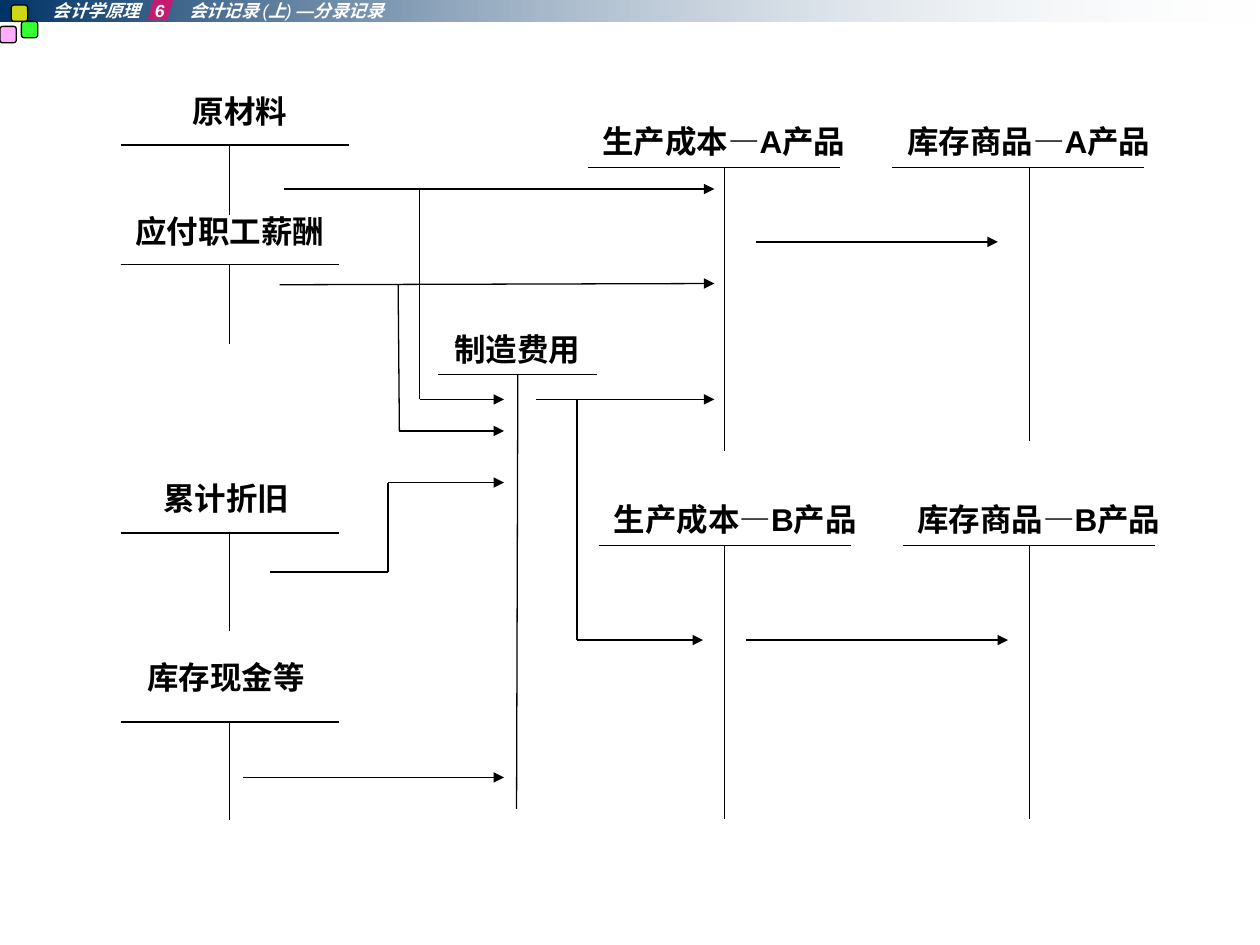
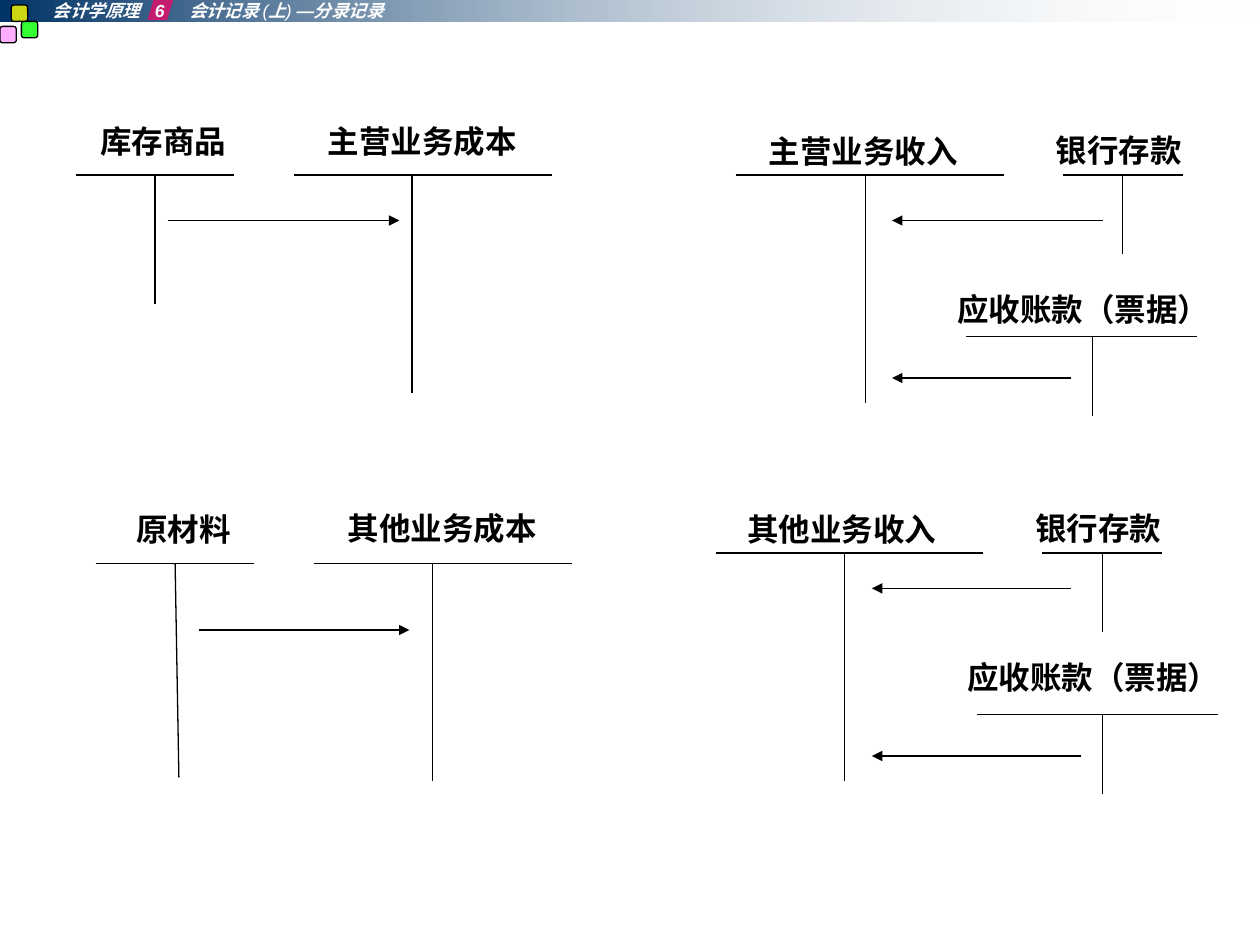
"""Build two slides of T-account flow diagrams for an accounting course."""

import itertools

import pptx
import pptx.dml.color
import pptx.enum.shapes
import pptx.enum.text
import pptx.oxml
import pptx.oxml.ns
import pptx.util
from lxml import etree

Inches = pptx.util.Inches
Pt = pptx.util.Pt
RGBColor = pptx.dml.color.RGBColor
Preset = pptx.enum.shapes.MSO_SHAPE
Align = pptx.enum.text.PP_ALIGN
qn = pptx.oxml.ns.qn

BLACK = RGBColor(0x00, 0x00, 0x00)
WHITE = RGBColor(0xFF, 0xFF, 0xFF)
NAVY = RGBColor(0x00, 0x33, 0x66)
PALE = RGBColor(0xE7, 0xEC, 0xF1)
PINK = RGBColor(0xFF, 0x99, 0xFF)
GREEN = RGBColor(0x00, 0xFF, 0x00)
YELLOW = RGBColor(0xFF, 0xFF, 0x00)
CRIMSON = RGBColor(0xFF, 0x00, 0x66)

OPACITY = {PALE: 0, PINK: 80, GREEN: 80, YELLOW: 80, CRIMSON: 70}
LINE_WIDTH = Pt(0.75)

HEADER_FONT = {"name": "Arial", "size": Pt(10), "italic": True}
HEADER_RUNS = [
    ("会计学原理\t6\t会计记录 ", True),
    ("(", False),
    ("上", True),
    (") ", False),
    ("—分录记录", True),
]
HEADER_TABS = [0.81, 1.08]
HEADER_MARKS = [
    (Preset.ROUNDED_RECTANGLE, (0, 0.21, 0.13, 0.13), PINK, 0.167),
    (Preset.ROUNDED_RECTANGLE, (0.17, 0.17, 0.13, 0.13), GREEN, 0.167),
    (Preset.ROUNDED_RECTANGLE, (0.09, 0.04, 0.13, 0.13), YELLOW, 0.167),
    (Preset.PARALLELOGRAM, (1.17, -0.02, 0.21, 0.18), CRIMSON, 0.299),
]

LABEL_FONT = {"size": Pt(18), "bold": True}
LABEL_HEIGHT = 0.4
LEFT_ALIGNED = {"银行存款", "应收账款（票据）"}

# Each account: name, label (left, top, width), bar (left, right, y), stem (head x, foot x, foot y).
PRODUCTION_ACCOUNTS = [
    ("原材料", (0.96, 0.68, 1.89), (0.96, 2.77, 1.15), (1.82, 1.82, 1.71)),
    ("应付职工薪酬", (0.88, 1.63, 1.89), (0.96, 2.69, 2.1), (1.82, 1.82, 2.73)),
    ("累计折旧", (0.85, 3.75, 1.89), (0.96, 2.69, 4.23), (1.82, 1.82, 5.01)),
    ("库存现金等", (0.85, 5.17, 1.89), (0.96, 2.69, 5.73), (1.82, 1.82, 6.51)),
    ("制造费用", (3.16, 2.57, 1.89), (3.48, 4.74, 2.97), (4.11, 4.1, 6.42)),
    ("生产成本—A产品", (4.58, 0.92, 2.33), (4.67, 6.67, 1.33), (5.75, 5.75, 3.58)),
    ("生产成本—B产品", (4.67, 3.92, 2.33), (4.75, 6.75, 4.33), (5.75, 5.75, 6.5)),
    ("库存商品—A产品", (7, 0.92, 2.33), (7.08, 9.08, 1.33), (8.17, 8.17, 3.5)),
    ("库存商品—B产品", (7.08, 3.92, 2.33), (7.17, 9.17, 4.33), (8.17, 8.17, 6.5)),
]
PRODUCTION_FLOWS = [
    [(2.25, 1.5), (5.67, 1.5)],
    [(3.33, 1.5), (3.33, 3.17), (4, 3.17)],
    [(2.22, 2.26), (5.67, 2.25)],
    [(3.16, 2.26), (3.17, 3.42), (4, 3.42)],
    [(2.14, 4.54), (3.08, 4.54), (3.08, 3.83), (4, 3.83)],
    [(1.93, 6.17), (4, 6.17)],
    [(4.25, 3.17), (5.67, 3.17)],
    [(4.58, 3.17), (4.58, 5.08), (5.58, 5.08)],
    [(6, 1.92), (7.92, 1.92)],
    [(5.92, 5.08), (8, 5.08)],
]

SALES_ACCOUNTS = [
    ("库存商品", (0.51, 0.92, 1.57), (0.6, 1.86, 1.39), (1.23, 1.23, 2.41)),
    ("主营业务成本", (2.25, 0.92, 2.2), (2.33, 4.38, 1.39), (3.27, 3.27, 3.12)),
    ("主营业务收入", (5.75, 1, 2.2), (5.84, 7.97, 1.39), (6.87, 6.87, 3.2)),
    ("银行存款", (8.28, 0.99, 1.26), (8.44, 9.39, 1.39), (8.91, 8.91, 2.02)),
    ("应收账款（票据）", (7.5, 2.25, 2.33), (7.67, 9.5, 2.67), (8.67, 8.67, 3.3)),
    ("原材料", (0.67, 4, 1.57), (0.76, 2.02, 4.47), (1.39, 1.42, 6.17)),
    ("其他业务成本", (2.41, 3.99, 2.2), (2.49, 4.54, 4.47), (3.43, 3.43, 6.2)),
    ("其他业务收入", (5.58, 4, 2.2), (5.68, 7.8, 4.39), (6.7, 6.7, 6.2)),
    ("银行存款", (8.12, 3.99, 1.26), (8.27, 9.22, 4.39), (8.75, 8.75, 5.02)),
    ("应收账款（票据）", (7.58, 5.17, 2.25), (7.75, 9.67, 5.67), (8.75, 8.75, 6.3)),
]
SALES_FLOWS = [
    [(1.33, 1.75), (3.17, 1.75)],
    [(8.75, 1.75), (7.08, 1.75)],
    [(8.5, 3), (7.08, 3)],
    [(1.58, 5), (3.25, 5)],
    [(8.5, 4.67), (6.92, 4.67)],
    [(8.58, 6), (6.92, 6)],
]


def add_lines(slide, points, arrow=False):
    for start, end in itertools.pairwise(points):
        connector = slide.shapes.add_connector(
            pptx.enum.shapes.MSO_CONNECTOR.STRAIGHT, *map(Inches, start + end)
        )
        connector.line.color.rgb = BLACK
        connector.line.width = LINE_WIDTH
        properties = connector.element.spPr
        if arrow and end == points[-1]:
            etree.SubElement(properties.find(qn("a:ln")), qn("a:tailEnd"), type="triangle")
        etree.SubElement(properties, qn("a:effectLst"))


def add_run(paragraph, text, colour, font_values):
    run = paragraph.add_run()
    run.text = text
    run.font.color.rgb = colour
    for attribute, value in font_values.items():
        setattr(run.font, attribute, value)


presentation = pptx.Presentation()
presentation.slide_width = Inches(10)
presentation.slide_height = Inches(7.5)

for accounts, flows in [
    (PRODUCTION_ACCOUNTS, PRODUCTION_FLOWS),
    (SALES_ACCOUNTS, SALES_FLOWS),
]:
    slide = presentation.slides.add_slide(presentation.slide_layouts[6])

    band = slide.shapes.add_shape(Preset.RECTANGLE, 0, 0, Inches(10), Inches(0.17))
    band.shadow.inherit = False
    band.line.fill.background()
    band.fill.gradient()
    band.fill.gradient_angle = 0
    for stop, position, colour in zip(band.fill.gradient_stops, (0, 1), (NAVY, PALE)):
        stop.position = position
        stop.color.rgb = colour

    for preset, box, colour, adjustment in HEADER_MARKS:
        mark = slide.shapes.add_shape(preset, *map(Inches, box))
        mark.shadow.inherit = False
        mark.adjustments[0] = adjustment
        mark.fill.solid()
        mark.fill.fore_color.rgb = colour
        if preset == Preset.ROUNDED_RECTANGLE:
            mark.line.color.rgb = BLACK
            mark.line.width = LINE_WIDTH
        else:
            mark.line.fill.background()

    for colour_element in slide.shapes.element.iter(qn("a:srgbClr")):
        opacity = OPACITY.get(RGBColor.from_string(colour_element.get("val")))
        if opacity is not None:
            etree.SubElement(colour_element, qn("a:alpha"), val=str(opacity * 1000))

    header = slide.shapes.add_textbox(Inches(0.42), 0, Inches(2.92), Inches(0.17))
    header.text_frame.word_wrap = True
    for side in ("left", "top", "right", "bottom"):
        setattr(header.text_frame, f"margin_{side}", 0)
    paragraph = header.text_frame.paragraphs[0]
    tab_list = etree.SubElement(paragraph._p.get_or_add_pPr(), qn("a:tabLst"))
    for position in HEADER_TABS:
        etree.SubElement(tab_list, qn("a:tab"), pos=str(Inches(position)), algn="l")
    for text, bold in HEADER_RUNS:
        add_run(paragraph, text, WHITE, HEADER_FONT | {"bold": bold})

    for name, (left, top, width), (bar_left, bar_right, bar_y), stem in accounts:
        head_x, foot_x, foot_y = stem
        add_lines(slide, [(bar_left, bar_y), (bar_right, bar_y)])
        add_lines(slide, [(head_x, bar_y), (foot_x, foot_y)])
        label = slide.shapes.add_textbox(*map(Inches, (left, top, width, LABEL_HEIGHT)))
        label.text_frame.word_wrap = True
        paragraph = label.text_frame.paragraphs[0]
        paragraph.alignment = Align.LEFT if name in LEFT_ALIGNED else Align.CENTER
        account, dash, product = name.partition("—")
        add_run(paragraph, account, BLACK, LABEL_FONT | {"name": "Times New Roman"})
        if product:
            add_run(paragraph, dash + product, BLACK, LABEL_FONT | {"name": "Arial"})

    for points in flows:
        add_lines(slide, points, arrow=True)

presentation.save("out.pptx")
